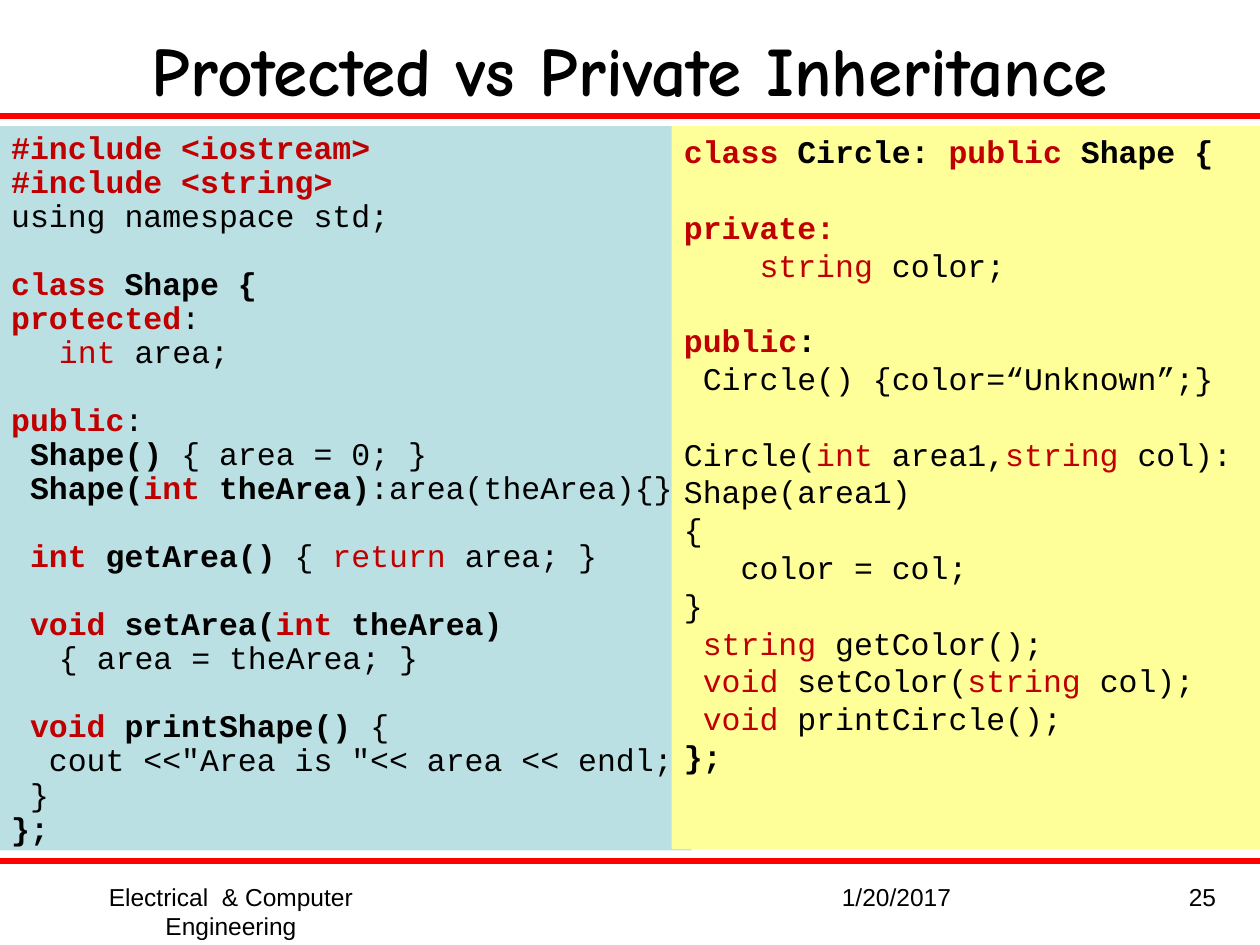
from dataclasses import dataclass
from lxml import etree
from pptx import Presentation
from pptx.dml.color import RGBColor
from pptx.enum.shapes import MSO_CONNECTOR, MSO_SHAPE
from pptx.enum.text import MSO_ANCHOR, PP_ALIGN
from pptx.oxml.ns import qn
from pptx.util import Inches, Pt

LEFT, CENTER, RIGHT = PP_ALIGN.LEFT, PP_ALIGN.CENTER, PP_ALIGN.RIGHT
TOP, MIDDLE = MSO_ANCHOR.TOP, MSO_ANCHOR.MIDDLE
RECTANGLE = MSO_SHAPE.RECTANGLE
STRAIGHT = MSO_CONNECTOR.STRAIGHT
WIDTH, HEIGHT = 10, 7.5


@dataclass(frozen=True)
class Theme:
    ink: str = "000000"
    keyword: str = "C00000"
    rule: str = "FF0000"
    base_panel: str = "BBE0E3"
    derived_panel: str = "FFFF99"
    title_font: str = "Comic Neue"
    code_font: str = "Courier New"
    footer_font: str = "Arial"
    title_size: float = 39.6
    code_size: float = 18
    footer_size: float = 14
    rule_width: float = 3.5
    code_line: float = 21.6


THEME = Theme()
PLAIN = (THEME.ink, False)
BOLD = (THEME.ink, True)
KEY = (THEME.keyword, False)
KEY_BOLD = (THEME.keyword, True)

BASE_CLASS = [
    [("#include <iostream>", KEY_BOLD)],
    [("#include <string>", KEY_BOLD)],
    [("using namespace std;", PLAIN)],
    [],
    [("class", KEY_BOLD), (" Shape {", BOLD)],
    [("protected", KEY_BOLD), (":", PLAIN)],
    [("\t", PLAIN), ("int ", KEY), ("area;", PLAIN)],
    [],
    [("public", KEY_BOLD), (":", PLAIN)],
    [(" Shape() ", BOLD), ("{ area = 0; }", PLAIN)],
    [(" Shape(", BOLD), ("int ", KEY_BOLD), ("theArea)", BOLD), (":area(theArea){}", PLAIN)],
    [],
    [(" int ", KEY_BOLD), ("getArea() ", BOLD), ("{ ", PLAIN), ("return", KEY), (" area; }", PLAIN)],
    [],
    [(" void ", KEY_BOLD), ("setArea(", BOLD), ("int ", KEY_BOLD), ("theArea)", BOLD)],
    [("\t{ area = theArea; }", PLAIN)],
    [],
    [(" void ", KEY_BOLD), ("printShape()", BOLD), (" {", PLAIN)],
    [("  cout <<\"Area is \"<< area << endl;", PLAIN)],
    [(" }", PLAIN)],
    [("};", BOLD)],
]
DERIVED_CLASS = [
    [("class", KEY_BOLD), (" Circle: ", BOLD), ("public", KEY_BOLD), (" Shape {", BOLD)],
    [],
    [("private:", KEY_BOLD)],
    [("    string ", KEY), ("color;", PLAIN)],
    [],
    [("public", KEY_BOLD), (":", BOLD)],
    [(" Circle() {color=“Unknown”;}", PLAIN)],
    [],
    [("Circle(", PLAIN), ("int ", KEY), ("area1,", PLAIN), ("string", KEY), (" col): Shape(area1)", PLAIN)],
    [("{", PLAIN)],
    [("   color = col;", PLAIN)],
    [("}", PLAIN)],
    [(" string ", KEY), ("getColor();", PLAIN)],
    [(" void ", KEY), ("setColor(", PLAIN), ("string ", KEY), ("col);", PLAIN)],
    [(" void ", KEY), ("printCircle();", PLAIN)],
    [("};", BOLD)],
]


def write(shape, lines, font, size, align=LEFT, anchor=TOP, spacing=1.0, hang=0.0, gap=0.0):
    frame = shape.text_frame
    frame.word_wrap = True
    frame.vertical_anchor = anchor
    skipped = 0
    paragraph = None
    for line in lines:
        if not line:
            skipped += 1
            continue
        paragraph = frame.add_paragraph() if paragraph is not None else frame.paragraphs[0]
        paragraph.alignment = align
        paragraph.line_spacing = spacing
        if skipped:
            paragraph.space_before = Pt(gap * skipped)
            skipped = 0
        if hang:
            properties = paragraph._p.get_or_add_pPr()
            properties.set("marL", str(Inches(hang)))
            properties.set("indent", str(-Inches(hang)))
        for text, (color, bold) in line:
            run = paragraph.add_run()
            run.text = text
            run.font.name = font
            run.font.size = Pt(size)
            run.font.bold = bold
            run.font.color.rgb = RGBColor.from_string(color)


def text_box(slide, box, text, style=PLAIN, **text_format):
    shape = slide.shapes.add_textbox(*map(Inches, box))
    write(shape, [[(text, style)]], **text_format)


def rule(slide, y):
    line = slide.shapes.add_connector(STRAIGHT, 0, Inches(y), Inches(WIDTH), Inches(y))
    line.line.color.rgb = RGBColor.from_string(THEME.rule)
    line.line.width = Pt(THEME.rule_width)
    etree.SubElement(line._element.spPr, qn("a:effectLst"))


def title(slide, box):
    text_box(slide, box, "Protected vs Private Inheritance", BOLD, font=THEME.title_font,
             size=THEME.title_size, align=CENTER, anchor=MIDDLE)


def code_panel(slide, box, code, fill, spacing=1.0, hang=0.0):
    panel = slide.shapes.add_shape(RECTANGLE, *map(Inches, box))
    panel.shadow.inherit = False
    panel.fill.solid()
    panel.fill.fore_color.rgb = RGBColor.from_string(fill)
    panel.line.fill.background()
    write(panel, code, THEME.code_font, THEME.code_size, spacing=spacing, hang=hang,
          gap=THEME.code_line * spacing)


def footer(slide, box):
    left, top, width, height = box
    parts = [
        ("Electrical  & Computer Engineering", 0, 1 / 3, CENTER),
        ("1/20/2017", 2 / 3, 0.245, LEFT),
        ("25", 0.94, 0.06, RIGHT),
    ]
    for text, start, share, align in parts:
        text_box(slide, (left + start * width, top, share * width, height), text,
                 font=THEME.footer_font, size=THEME.footer_size, align=align)


def main():
    deck = Presentation()
    deck.slide_width, deck.slide_height = Inches(WIDTH), Inches(HEIGHT)
    slide = deck.slides.add_slide(deck.slide_layouts[6])
    for y in (0.92, 6.83):
        rule(slide, y)
    title(slide, (0, 0.17, WIDTH, HEIGHT / 10))
    code_panel(slide, (-0.01, 1, 5.5, 5.75), BASE_CLASS, THEME.base_panel, spacing=0.9, hang=0.38)
    code_panel(slide, (5.33, 1, 4.67, 5.74), DERIVED_CLASS, THEME.derived_panel)
    footer(slide, (0.25, 6.95, WIDTH - 0.5, 0.52))
    deck.save("out.pptx")


if __name__ == "__main__":
    main()
